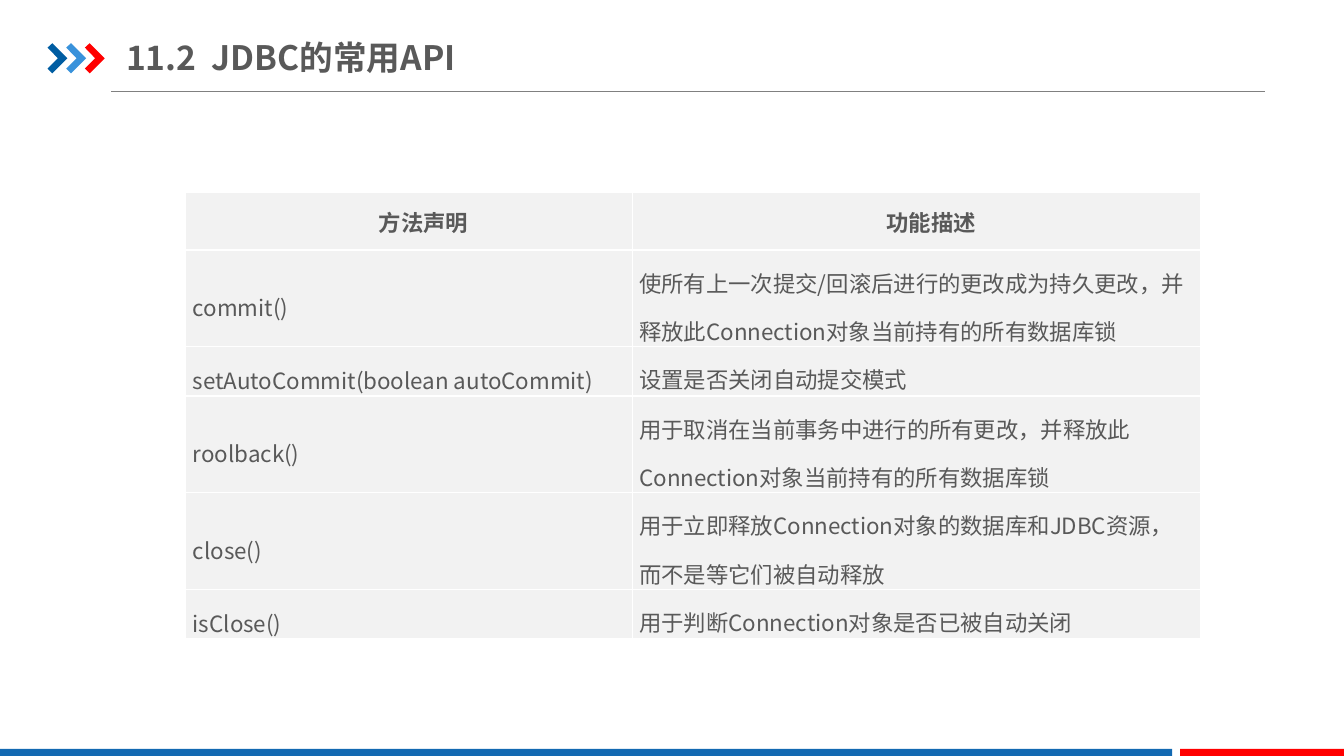
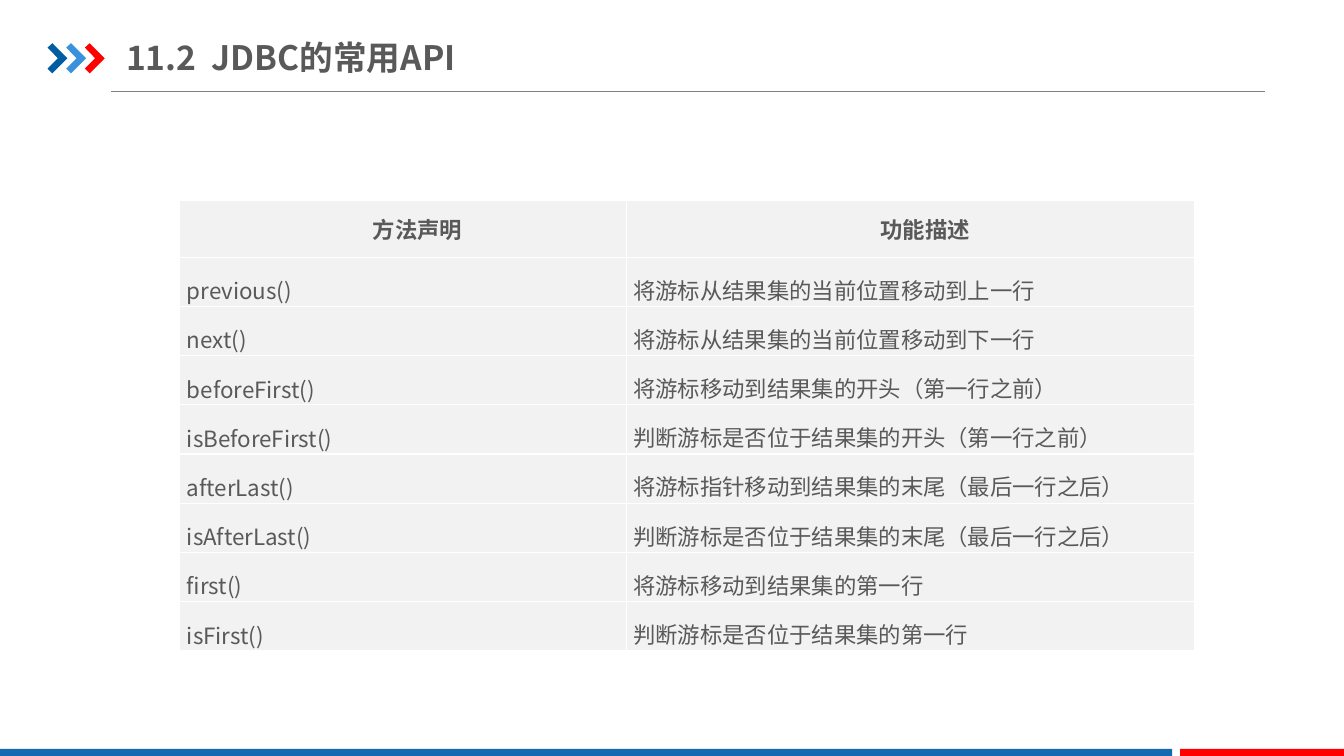
"""Build two slides listing JDBC API methods in tables."""
from lxml.etree import SubElement
from pptx import Presentation
from pptx.dml.color import RGBColor
from pptx.enum.shapes import MSO_CONNECTOR, MSO_SHAPE
from pptx.enum.text import MSO_ANCHOR, PP_ALIGN
from pptx.oxml.ns import qn
from pptx.util import Cm, Pt

COLORS = {
    "text": "595959", "cell": "F2F2F2", "border": "FFFFFF", "rule": "808080",
    "navy": "005DA2", "sky": "3992DB", "red": "FF0000", "blue": "1369B2",
}
FONT = "Noto Sans CJK SC"
TITLE = "11.2  JDBC的常用API"
HEADER = ("方法声明", "功能描述")
SLIDES = [
    {
        "at": (4.68, 4.86),
        "rows": [
            ("commit()", "使所有上一次提交/回滚后进行的更改成为持久更改，并释放此Connection对象当前持有的所有数据库锁"),
            ("setAutoCommit(boolean autoCommit)", "设置是否关闭自动提交模式"),
            ("roolback()", "用于取消在当前事务中进行的所有更改，并释放此Connection对象当前持有的所有数据库锁"),
            ("close()", "用于立即释放Connection对象的数据库和JDBC资源，而不是等它们被自动释放"),
            ("isClose()", "用于判断Connection对象是否已被自动关闭"),
        ],
    },
    {
        "at": (4.53, 5.04),
        "rows": [
            ("previous()", "将游标从结果集的当前位置移动到上一行"),
            ("next()", "将游标从结果集的当前位置移动到下一行"),
            ("beforeFirst()", "将游标移动到结果集的开头（第一行之前）"),
            ("isBeforeFirst()", "判断游标是否位于结果集的开头（第一行之前）"),
            ("afterLast()", "将游标指针移动到结果集的末尾（最后一行之后）"),
            ("isAfterLast()", "判断游标是否位于结果集的末尾（最后一行之后）"),
            ("first()", "将游标移动到结果集的第一行"),
            ("isFirst()", "判断游标是否位于结果集的第一行"),
        ],
    },
]
COL_WIDTHS = (11.25, 14.33)
HEADER_HEIGHT, ROW_HEIGHT, WRAPPED_HEIGHT = 1.44, 1.24, 2.44
LINE_CHARS = 30
CHEVRON = [(0, 11), (12, 0), (50, 38), (12, 76), (0, 64), (26, 38)]
CHEVRON_LEFT, CHEVRON_TOP, CHEVRON_STEP = 1.2, 1.09, 0.47
BANDS = [(0, 29.54, "blue"), (29.74, 4.13, "red")]


def rgb(name):
    return RGBColor.from_string(COLORS[name])


def paint(sp, color):
    sp.fill.solid()
    sp.fill.fore_color.rgb = rgb(color)
    sp.line.fill.background()
    sp.shadow.inherit = False


def style_run(r, size, bold):
    r.font.size = Pt(size)
    r.font.bold = bold
    r.font.color.rgb = rgb("text")
    r.font.name = FONT
    SubElement(r.font._element, qn("a:ea"), typeface=FONT)


def add_frame(s):
    rule = s.shapes.add_connector(MSO_CONNECTOR.STRAIGHT, Cm(2.8), Cm(2.31), Cm(31.87), Cm(2.31))
    rule.line.color.rgb = rgb("rule")
    rule.line.width = Pt(0.75)
    SubElement(rule._element.spPr, qn("a:effectLst"))
    for i, color in enumerate(("navy", "sky", "red")):
        builder = s.shapes.build_freeform(*CHEVRON[0], scale=Cm(0.01))
        builder.add_line_segments(CHEVRON[1:], close=True)
        paint(builder.convert_to_shape(Cm(CHEVRON_LEFT + i * CHEVRON_STEP), Cm(CHEVRON_TOP)), color)
    for left, width, color in BANDS:
        paint(s.shapes.add_shape(MSO_SHAPE.RECTANGLE, Cm(left), Cm(18.87), Cm(width), Cm(0.22)), color)


def add_title(s, text):
    tf = s.shapes.add_textbox(Cm(3.18), Cm(0.74), Cm(12.98), Cm(1.4)).text_frame
    tf.word_wrap = True
    tf.vertical_anchor = MSO_ANCHOR.MIDDLE
    tf.margin_left = tf.margin_right = 0
    tf.margin_top = tf.margin_bottom = Cm(0.18)
    tf.text = text
    style_run(tf.paragraphs[0].runs[0], 24, True)


def style_cell(cell, is_header, is_method):
    tcPr = cell._tc.get_or_add_tcPr()
    for side in ("lnL", "lnR", "lnT", "lnB"):
        ln = SubElement(tcPr, qn(f"a:{side}"), w=str(Pt(1)))
        SubElement(SubElement(ln, qn("a:solidFill")), qn("a:srgbClr"), val=COLORS["border"])
    cell.fill.solid()
    cell.fill.fore_color.rgb = rgb("cell")
    cell.margin_left = cell.margin_right = Cm(0.18)
    cell.margin_top = cell.margin_bottom = 0
    cell.vertical_anchor = MSO_ANCHOR.MIDDLE if is_header or is_method else MSO_ANCHOR.TOP
    p = cell.text_frame.paragraphs[0]
    if is_header:
        p.alignment = PP_ALIGN.CENTER
        p._p.get_or_add_pPr().set("indent", str(Cm(0.74)))
    else:
        p.line_spacing = 1.5
    style_run(p.runs[0], 16, is_header)


def row_height(description):
    return WRAPPED_HEIGHT if len(description) > LINE_CHARS else ROW_HEIGHT


def add_method_table(s, at, rows):
    left, top = at
    heights = [HEADER_HEIGHT] + [row_height(description) for _, description in rows]
    table = s.shapes.add_table(len(heights), len(HEADER), Cm(left), Cm(top),
                               Cm(sum(COL_WIDTHS)), Cm(sum(heights))).table
    table.horz_banding = False
    for col, width in zip(table.columns, COL_WIDTHS):
        col.width = Cm(width)
    for i, texts in enumerate([HEADER, *rows]):
        table.rows[i].height = Cm(heights[i])
        for j, text in enumerate(texts):
            cell = table.cell(i, j)
            cell.text = text
            style_cell(cell, i == 0, j == 0)


def main():
    prs = Presentation()
    prs.slide_width, prs.slide_height = Cm(33.87), Cm(19.05)
    for content in SLIDES:
        s = prs.slides.add_slide(prs.slide_layouts[6])
        add_frame(s)
        add_title(s, TITLE)
        add_method_table(s, content["at"], content["rows"])
    prs.save("out.pptx")


if __name__ == "__main__":
    main()
